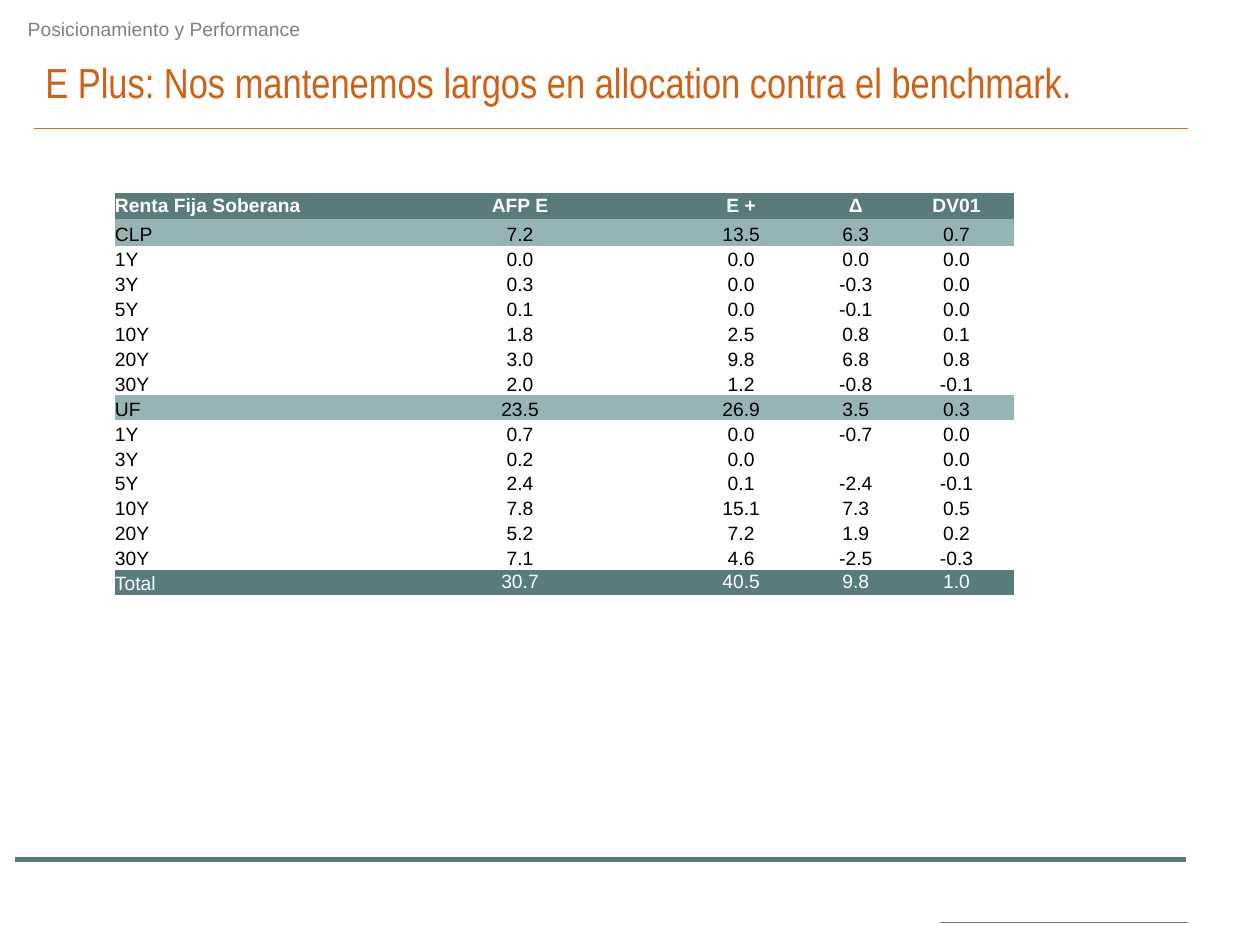
from dataclasses import dataclass

from lxml import etree
from pptx import Presentation
from pptx.dml.color import RGBColor
from pptx.enum.text import MSO_ANCHOR, MSO_AUTO_SIZE, PP_ALIGN
from pptx.oxml.ns import qn
from pptx.util import Pt

TOP, MIDDLE, BOTTOM = MSO_ANCHOR.TOP, MSO_ANCHOR.MIDDLE, MSO_ANCHOR.BOTTOM
LEFT, CENTER = PP_ALIGN.LEFT, PP_ALIGN.CENTER
NO_AUTOFIT = MSO_AUTO_SIZE.NONE

COMPARISON_LAYOUT = 4
PLAIN_TABLE_STYLE = "{2D5ABB26-0587-4C30-8999-92F81FD0307C}"
TEAL, PALE_TEAL = "597B7C", "97B4B5"
RUST, ORANGE = "CE6116", "E46C0A"
WHITE, BLACK, GRAY = "FFFFFF", "000000", "808080"


@dataclass
class Rule:
    left: float
    right: float
    y: float
    color: str
    weight: float


@dataclass
class Heading:
    text: str
    left: float
    top: float
    width: float
    height: float
    font: str
    size: float
    color: str


@dataclass
class RowStyle:
    fill: str | None
    color: str
    bold: bool
    label_anchor: MSO_ANCHOR
    value_anchor: MSO_ANCHOR


RULES = [
    Rule(8.64, 677.52, 491.04, TEAL, 2.75),
    Rule(537.12, 678.96, 527.04, TEAL, 0.75),
    Rule(19.44, 678.96, 73.44, ORANGE, 0.75),
]

HEADLINE = Heading(
    "E Plus: Nos mantenemos largos en allocation contra el benchmark.",
    18.72, 28.8, 655.2, 43.92, "Arial Narrow", 24, RUST,
)
SECTION = Heading(
    "Posicionamiento y Performance",
    8.64, 6.48, 257.76, 36.72, "Arial", 11, GRAY,
)

HEADER = RowStyle(TEAL, WHITE, True, MIDDLE, MIDDLE)
CURRENCY = RowStyle(PALE_TEAL, BLACK, False, BOTTOM, BOTTOM)
MATURITY = RowStyle(None, BLACK, False, BOTTOM, BOTTOM)
TOTAL = RowStyle(TEAL, WHITE, False, BOTTOM, MIDDLE)
ROW_STYLES = {"Renta Fija Soberana": HEADER, "CLP": CURRENCY, "UF": CURRENCY, "Total": TOTAL}

POSITIONS = [
    ("Renta Fija Soberana", "AFP E", "E +", "Δ", "DV01"),
    ("CLP", "7.2", "13.5", "6.3", "0.7"),
    ("1Y", "0.0", "0.0", "0.0", "0.0"),
    ("3Y", "0.3", "0.0", "-0.3", "0.0"),
    ("5Y", "0.1", "0.0", "-0.1", "0.0"),
    ("10Y", "1.8", "2.5", "0.8", "0.1"),
    ("20Y", "3.0", "9.8", "6.8", "0.8"),
    ("30Y", "2.0", "1.2", "-0.8", "-0.1"),
    ("UF", "23.5", "26.9", "3.5", "0.3"),
    ("1Y", "0.7", "0.0", "-0.7", "0.0"),
    ("3Y", "0.2", "0.0", "", "0.0"),
    ("5Y", "2.4", "0.1", "-2.4", "-0.1"),
    ("10Y", "7.8", "15.1", "7.3", "0.5"),
    ("20Y", "5.2", "7.2", "1.9", "0.2"),
    ("30Y", "7.1", "4.6", "-2.5", "-0.3"),
    ("Total", "30.7", "40.5", "9.8", "1.0"),
]
COLUMN_WIDTHS = [146.16, 170.64, 82.08, 48.96, 66.24]
TALL_ROWS, TALL_HEIGHT, ROW_HEIGHT = 2, 15.2, 14.23


def rgb(color: str) -> RGBColor:
    return RGBColor.from_string(color)


def style_paragraph(paragraph, font: str, size: float, color: str, bold: bool, align) -> None:
    paragraph.alignment = align
    paragraph.font.name = font
    paragraph.font.size = Pt(size)
    paragraph.font.bold = bold
    paragraph.font.color.rgb = rgb(color)


def draw_rule(slide, rule: Rule) -> None:
    line = slide.shapes.add_connector(1, Pt(rule.left), Pt(rule.y), Pt(rule.right), Pt(rule.y))
    line.line.color.rgb = rgb(rule.color)
    line.line.width = Pt(rule.weight)
    etree.SubElement(line.element.spPr, qn("a:effectLst"))


def fill_heading(placeholder, heading: Heading) -> None:
    placeholder.left, placeholder.top = Pt(heading.left), Pt(heading.top)
    placeholder.width, placeholder.height = Pt(heading.width), Pt(heading.height)
    frame = placeholder.text_frame
    frame.text = heading.text
    frame.word_wrap = True
    frame.auto_size = NO_AUTOFIT
    frame.vertical_anchor = TOP
    paragraph = frame.paragraphs[0]
    style_paragraph(paragraph, heading.font, heading.size, heading.color, False, LEFT)
    paragraph.space_before = Pt(round(heading.size * 0.2, 1))


def fill_cell(cell, text: str, style: RowStyle, is_label: bool) -> None:
    cell.margin_left = cell.margin_right = cell.margin_top = cell.margin_bottom = 0
    cell.vertical_anchor = style.label_anchor if is_label else style.value_anchor
    if style.fill:
        cell.fill.solid()
        cell.fill.fore_color.rgb = rgb(style.fill)
    else:
        cell.fill.background()
    cell.text = text
    align = LEFT if is_label else CENTER
    style_paragraph(cell.text_frame.paragraphs[0], "Arial", 11, style.color, style.bold, align)


def draw_positions(slide, left: float, top: float) -> None:
    heights = [TALL_HEIGHT if i < TALL_ROWS else ROW_HEIGHT for i in range(len(POSITIONS))]
    frame = slide.shapes.add_table(
        len(POSITIONS), len(COLUMN_WIDTHS),
        Pt(left), Pt(top), Pt(sum(COLUMN_WIDTHS)), Pt(sum(heights)),
    )
    next(frame.element.iter(qn("a:tableStyleId"))).text = PLAIN_TABLE_STYLE
    table = frame.table
    table.first_row = table.horz_banding = False
    for column, width in zip(table.columns, COLUMN_WIDTHS):
        column.width = Pt(width)
    for row, height, texts in zip(table.rows, heights, POSITIONS):
        row.height = Pt(height)
        style = ROW_STYLES.get(texts[0], MATURITY)
        for index, (cell, text) in enumerate(zip(row.cells, texts)):
            fill_cell(cell, text, style, index == 0)


def main() -> None:
    deck = Presentation()
    deck.slide_width, deck.slide_height = Pt(720), Pt(540)
    slide = deck.slides.add_slide(deck.slide_layouts[COMPARISON_LAYOUT])
    fill_heading(slide.shapes.title, HEADLINE)
    fill_heading(slide.placeholders[1], SECTION)
    for placeholder in list(slide.placeholders):
        if not placeholder.text_frame.text:
            placeholder.element.getparent().remove(placeholder.element)
    for rule in RULES:
        draw_rule(slide, rule)
    draw_positions(slide, 65.7, 110.16)
    deck.save("out.pptx")


if __name__ == "__main__":
    main()
